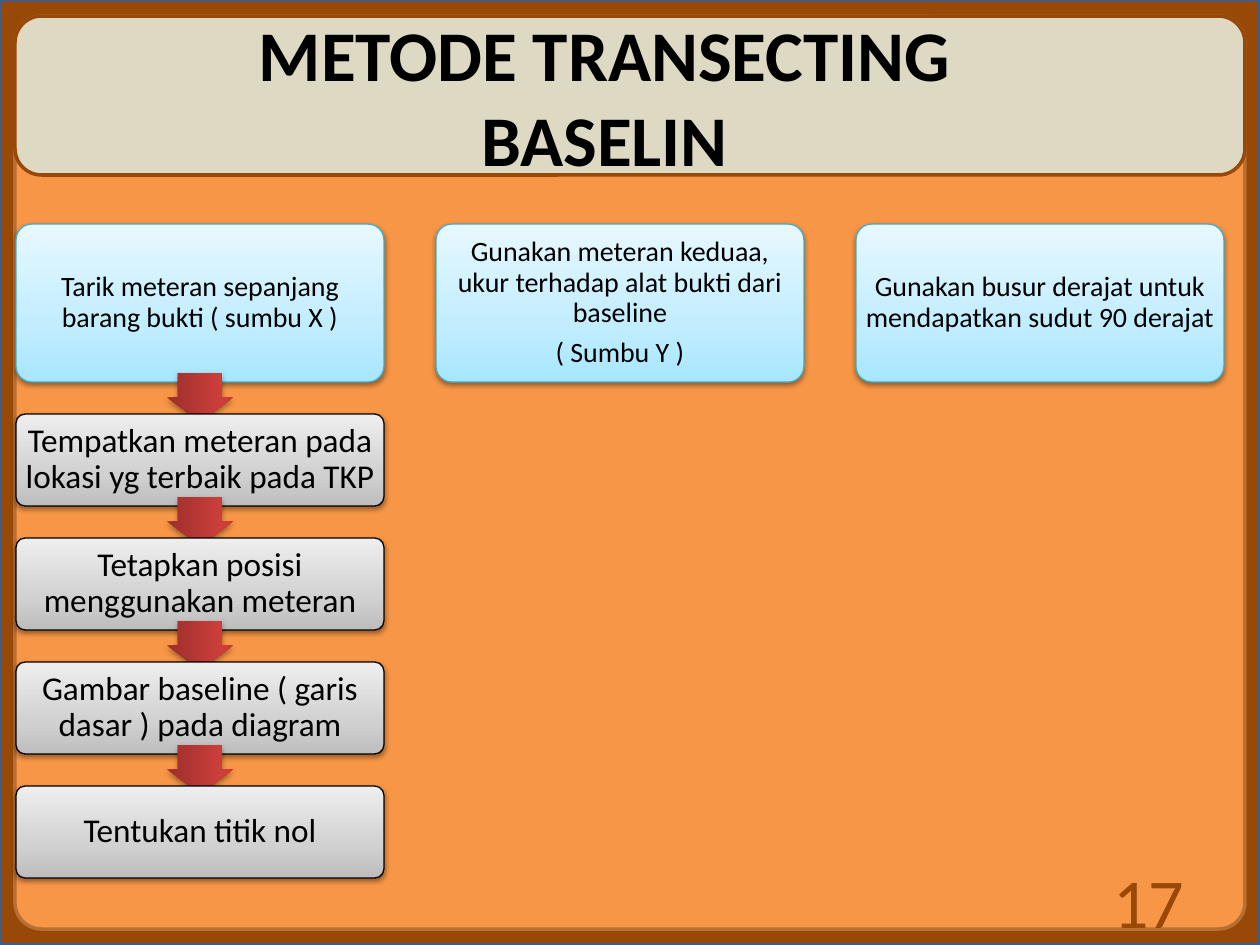
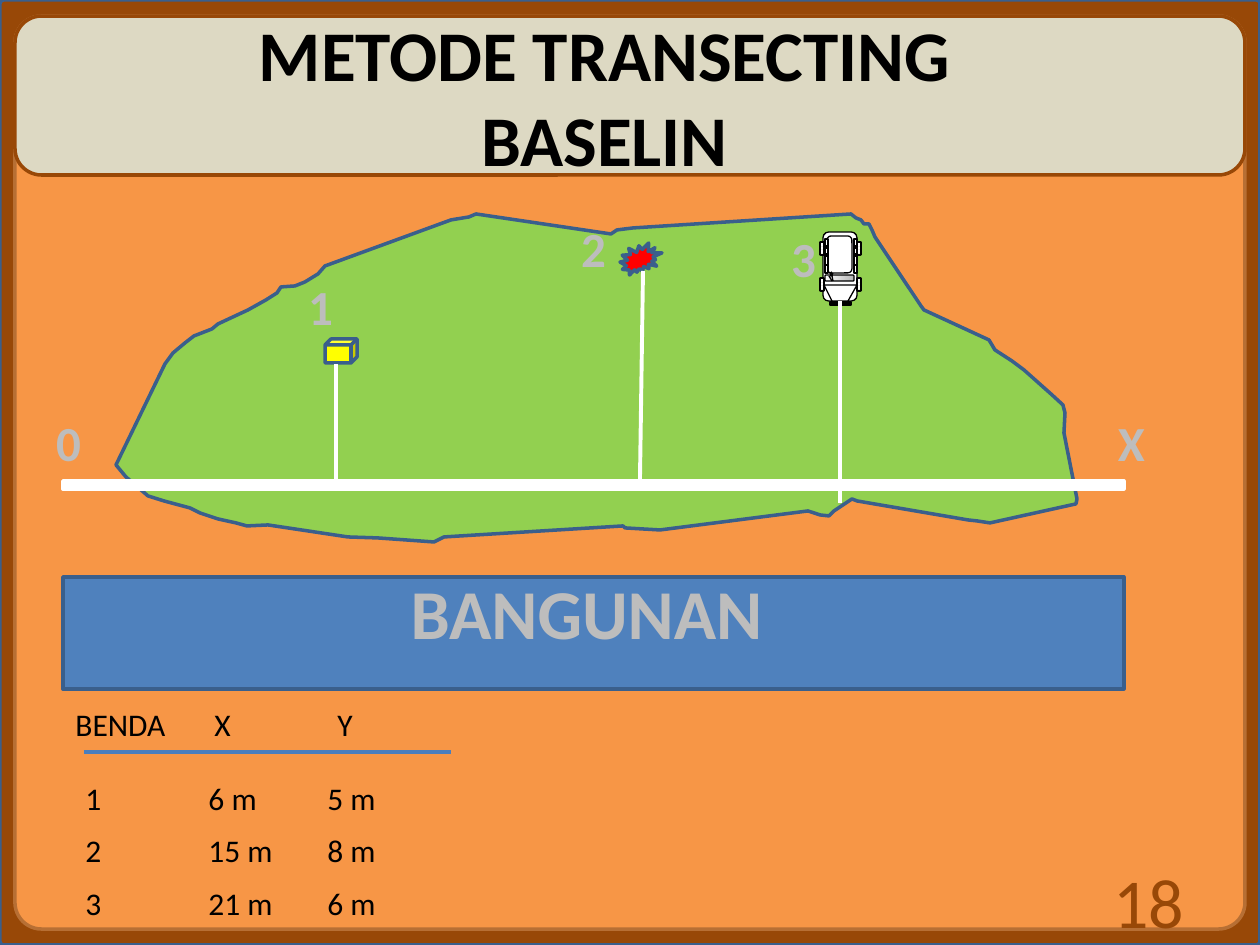
from copy import deepcopy
from dataclasses import dataclass
from pptx import Presentation
from pptx.dml.color import RGBColor as Rgb
from pptx.enum.dml import MSO_PATTERN as Pat
from pptx.enum.shapes import MSO_CONNECTOR as Con, MSO_SHAPE as Form, PP_PLACEHOLDER as Kind
from pptx.enum.text import MSO_ANCHOR as Anchor, MSO_AUTO_SIZE as Fit, PP_ALIGN as Align
from pptx.oxml import parse_xml
from pptx.oxml.ns import nsdecls, qn
from pptx.util import Pt


@dataclass(frozen=True)
class Theme:
    """Hold the colours, gradients, font and type sizes."""
    font: str = "Calibri"
    ink: str = "000000"
    white: str = "FFFFFF"
    pale: str = "BDBDBD"
    brown: str = "984807"
    orange: str = "F79646"
    rust: str = "B76F34"
    sand: str = "DDD9C3"
    navy: str = "3A5F8C"
    blue: str = "4F81BD"
    rule: str = "4B7EBC"
    teal: str = "46AAC5"
    grass: str = "92D050"
    red: str = "FF0000"
    yellow: str = "FFFF00"
    star: str = "ED1332"
    tread: str = "EEECE1"
    sky: tuple = ((0, "A7E6FF"), (35, "C1EDFF"), (100, "E7F8FF"))
    grey: tuple = ((0, "BDBDBD"), (35, "D1D1D1"), (100, "EEEEEE"))
    wine: tuple = ((0, "9C2F2D"), (80, "CB3E3A"), (100, "CE3B37"))
    glass: tuple = ((0, "FFFFFF"), (100, "B6B6B6"))
    title: float = 40.7
    big: int = 40
    mark: int = 28
    step: int = 19
    row: int = 18
    head: int = 16


T = Theme()
UNIT = 914400 / 126
TITLE = "METODE TRANSECTING BASELIN"
HEADS = (
    "Tarik meteran sepanjang barang bukti ( sumbu X )",
    "Gunakan meteran keduaa, ukur terhadap alat bukti dari baseline\n( Sumbu Y )",
    "Gunakan busur derajat untuk mendapatkan sudut 90 derajat",
)
STEPS = (
    "Tempatkan meteran pada lokasi yg terbaik pada TKP",
    "Tetapkan posisi menggunakan meteran",
    "Gambar baseline ( garis dasar ) pada diagram",
    "Tentukan titik nol",
)
ROWS = ("1\t6 m\t5 m", "2\t15 m\t8 m", "3\t21 m\t6 m")
FIELD = (
    (165, 73), (179, 72), (189, 68), (202, 60), (209, 52), (335, 6), (353, 3),
    (360, 0), (495, 20), (501, 16), (517, 14), (735, 0), (740, 4), (745, 6),
    (748, 10), (753, 10), (756, 16), (759, 23), (805, 92), (808, 96), (873, 126),
    (879, 136), (896, 147), (908, 156), (935, 180), (947, 191), (949, 199),
    (948, 219), (961, 285), (960, 290), (874, 309), (861, 307), (852, 306),
    (741, 287), (736, 285), (718, 297), (713, 302), (704, 301), (692, 297),
    (544, 316), (509, 314), (507, 312), (328, 323), (318, 328), (262, 324),
    (232, 323), (152, 311), (131, 312), (120, 309), (102, 305), (84, 299),
    (74, 294), (48, 287), (32, 282), (10, 263), (0, 251), (49, 150), (57, 139),
    (69, 129), (78, 122), (96, 115), (102, 110), (117, 103), (132, 96),
    (150, 86), (161, 79),
)


def px(num):
    """Turn px into EMU."""
    return round(num * UNIT)


def paint(shape, fill, line, width):
    """Set a flat fill and an outline, and drop the shadow."""
    shape.shadow.inherit = False
    shape.fill.solid()
    shape.fill.fore_color.rgb = Rgb.from_string(fill)
    if line:
        shape.line.color.rgb = Rgb.from_string(line)
        shape.line.width = Pt(width)
    else:
        shape.line.fill.background()
    return shape


def block(shapes, form, box, fill, line, width=2, adj=None):
    """Add a preset shape."""
    shape = shapes.add_shape(form, *map(px, box))
    for num, part in enumerate(adj or ()):
        shape.adjustments[num] = part
    return paint(shape, fill, line, width)


def outline(shapes, left, top, dots, fill, line, width):
    """Add a closed outline whose points are relative to left and top."""
    pen = shapes.build_freeform(*dots[0], scale=UNIT)
    pen.add_line_segments(dots[1:], close=True)
    return paint(pen.convert_to_shape(px(left), px(top)), fill, line, width)


def rod(shapes, ends, color, width):
    """Add a straight line."""
    line = shapes.add_connector(Con.STRAIGHT, *map(px, ends))
    line.line.color.rgb = Rgb.from_string(color)
    line.line.width = Pt(width)
    line.element.spPr.append(parse_xml(f"<a:effectLst {nsdecls('a')}/>"))


def shade(shape, stops, angle):
    """Replace a flat fill by a gradient."""
    marks = "".join(
        f'<a:gs pos="{pos * 1000}"><a:srgbClr val="{color}"/></a:gs>' for pos, color in stops)
    props = shape.element.spPr
    props.replace(props.find(qn("a:solidFill")), parse_xml(
        f'<a:gradFill {nsdecls("a")} rotWithShape="1"><a:gsLst>{marks}</a:gsLst>'
        f'<a:lin ang="{angle * 60000}" scaled="0"/></a:gradFill>'))


def drop(shape, alpha, dist):
    """Cast a soft shadow downwards."""
    shape.element.spPr.find(qn("a:effectLst")).append(parse_xml(
        f'<a:outerShdw {nsdecls("a")} blurRad="{Pt(3.1)}" dist="{Pt(dist)}" dir="5400000" '
        f'rotWithShape="0"><a:srgbClr val="{T.ink}"><a:alpha val="{alpha * 1000}"/>'
        f'</a:srgbClr></a:outerShdw>'))


def write(shape, text, size, color=T.ink, bold=False, align=Align.CENTER):
    """Set the text of a shape and format its runs."""
    frame = shape.text_frame
    frame.text = text
    for para in frame.paragraphs:
        para.alignment = align
        for run in para.runs:
            run.font.name = T.font
            run.font.size = Pt(size)
            run.font.bold = bold
            run.font.color.rgb = Rgb.from_string(color)
    return frame


def label(slide, box, text, size, *style):
    """Add a text box that does not wrap."""
    shape = slide.shapes.add_textbox(*map(px, box))
    write(shape, text, size, *style).word_wrap = False
    return shape


def place(shape, box):
    """Move and size a placeholder."""
    shape.left, shape.top, shape.width, shape.height = map(px, box)


def number(layout):
    """Find the slide number placeholder of the layout."""
    return next(p for p in layout.placeholders
                if p.placeholder_format.type == Kind.SLIDE_NUMBER)


def dress(layout, slide):
    """Put the frame on the layout and set its placeholders."""
    panels = (
        ((0, 0, 1260, 945), T.brown, T.navy, 0.004),
        ((15, 16, 1230, 913), T.orange, T.rust, 0.029),
        ((15, 16, 1230, 159), T.sand, T.brown, 0.167),
    )
    for num, (box, fill, line, adj) in enumerate(panels):
        shape = block(slide.shapes, Form.ROUNDED_RECTANGLE, box, fill, line, 2, (adj,))
        layout.shapes.element.insert(num + 2, shape.element)
    place(layout.placeholders[0], (123, 16, 963, 159))
    place(number(layout), (903, 876, 294, 50))


def top(slide, page):
    """Write the title and the page number."""
    frame = write(slide.shapes.title, TITLE, T.title, T.ink, True)
    frame.auto_size = Fit.NONE
    frame.vertical_anchor = Anchor.MIDDLE
    item = deepcopy(number(slide.slide_layout).element)
    slide.shapes.element.append(item)
    old = next(item.iter(qn("a:fld")))
    old.getparent().replace(old, parse_xml(
        f'<a:fld {nsdecls("a")} id="{old.get("id")}" type="slidenum">'
        f'<a:rPr lang="id-ID" sz="{T.big * 100}"><a:solidFill><a:srgbClr val="{T.brown}"/>'
        f'</a:solidFill><a:latin typeface="{T.font}"/></a:rPr><a:t>{page}</a:t></a:fld>'))


def card(slide, box, text, size, stops, line):
    """Add a shaded card with centred text."""
    shape = block(slide.shapes, Form.ROUNDED_RECTANGLE, box, T.white, line, 0.75, (0.1,))
    shade(shape, stops, 270)
    drop(shape, 38, 1.6)
    frame = write(shape, text, size)
    frame.word_wrap = True
    frame.vertical_anchor = Anchor.MIDDLE
    frame.margin_left = frame.margin_right = frame.margin_top = frame.margin_bottom = px(3)
    for para in frame.paragraphs:
        para.line_spacing = 0.9
        para.space_after = Pt(size * 0.35)


def flow(slide, left, top):
    """Lay out the three heads and the steps below the first."""
    wide = 368
    for num, text in enumerate(HEADS):
        card(slide, (left + 420 * num, top, wide, 158), text, T.head, T.sky, T.teal)
    for num, text in enumerate(STEPS):
        down = top + 124 * num
        arrow = block(slide.shapes, Form.DOWN_ARROW, (left + (wide - 66) / 2, down + 149, 66, 49),
                      T.red, None, adj=(0.667, 0.5))
        shade(arrow, T.wine, 0)
        drop(arrow, 35, 1.8)
        card(slide, (left, down + 190, wide, 92), text, T.step, T.grey, T.ink)


def car(slide, left, top):
    """Draw the car seen from above as one group."""
    parts = slide.shapes.add_group_shape().shapes

    def panel(form, x, y, wide, high, fill=T.white, width=0.75):
        return block(parts, form, (left + x, top + y, wide, high), fill, T.ink, width)

    def dash(x, y, right, low, width=0.75):
        rod(parts, (left + x, top + y, left + right, top + low), T.ink, width)

    panel(Form.ROUNDED_RECTANGLE, 4, 0, 34, 69)
    outline(parts, left + 5, top + 53, ((0, 0), (8, 16), (24, 16), (33, 0)), T.white, T.ink, 0.75)
    shade(panel(Form.ROUNDED_RECTANGLE, 6, 43, 29, 6), T.glass, 0)
    panel(Form.ROUNDED_RECTANGLE, 8, 4, 25, 37)
    for x in (34, 5):
        panel(Form.RECTANGLE, x + 1, 7, 3, 34)
        for y, width in ((33, 0.75), (23, 2.25), (15, 2.25)):
            dash(x, y, x + 3, y, width)
    panel(Form.RECTANGLE, 11, 70, 21, 3, T.ink)
    for x in (38, 1):
        for y in (46, 10):
            fill = panel(Form.ROUNDED_RECTANGLE, x, y, 4, 13, width=1).fill
            fill.patterned()
            fill.pattern = Pat.ZIG_ZAG
            fill.fore_color.rgb = Rgb.from_string(T.tread)
            fill.back_color.rgb = Rgb.from_string(T.white)
    dash(10, 44, 13, 49)
    dash(13, 44, 14, 49)
    panel(Form.STAR_5_POINT, 11, 40, 3, 4, T.star)


def scene(slide, left, top):
    """Draw the field, the baseline, the building and the three items."""
    shapes = slide.shapes
    outline(shapes, left + 53, top, FIELD, T.grass, T.navy, 2)
    block(shapes, Form.RECTANGLE, (left, top + 267, 1061, 8), T.white, T.white)
    block(shapes, Form.RECTANGLE, (left, top + 363, 1061, 112), T.blue, T.navy)
    label(slide, (left + 305, top + 349, 437, 97), "BANGUNAN", T.big, T.pale, True)
    block(shapes, Form.EXPLOSION2, (left + 557, top + 29, 42, 32), T.red, T.navy)
    block(shapes, Form.CUBE, (left + 262, top + 125, 32, 24), T.yellow, T.navy)
    car(slide, left + 756, top + 18)
    for x, y, foot, low in ((273, 150, 273, 265), (580, 57, 577, 265), (777, 87, 777, 289)):
        rod(shapes, (left + x, top + y, left + foot, top + low), T.white, 2.25)
    marks = (("0", -21, 192), ("1", 231, 56), ("2", 504, -2), ("3", 714, 8), ("X", 1042, 192))
    for text, x, y in marks:
        label(slide, (left + x, top + y, 53, 72), text, T.mark, T.pale, True)


def row(slide, left, top, text, stops):
    """Add one line of values set on tab stops."""
    shape = label(slide, (left, top, 370, 50), text, T.row, T.ink, False, Align.LEFT)
    tabs = "".join(f'<a:tab pos="{px(stop)}" algn="l"/>' for stop in stops)
    para = next(shape.element.iter(qn("a:p")))
    para.get_or_add_pPr().append(parse_xml(f"<a:tabLst {nsdecls('a')}>{tabs}</a:tabLst>"))


def values(slide, left, top):
    """List the X and Y value of each item."""
    row(slide, left, top, "BENDA\tX\tY", (139, 262))
    rod(slide.shapes, (left + 21, top + 53, left + 388, top + 53), T.rule, 2.25)
    for num, text in enumerate(ROWS):
        row(slide, left + 10, top + 74 + round(52.5 * num), text, (123, 242))


def main():
    """Build the two slides."""
    deck = Presentation()
    deck.slide_width, deck.slide_height = px(1260), px(945)
    deck.element.set("firstSlideNum", "17")
    layout = deck.slide_layouts[5]
    steps, plan = (deck.slides.add_slide(layout) for _ in range(2))
    dress(layout, steps)
    for page, slide in enumerate((steps, plan), 17):
        top(slide, page)
    flow(steps, 16, 224)
    scene(plan, 63, 214)
    values(plan, 63, 699)
    deck.save("out.pptx")


if __name__ == "__main__":
    main()
